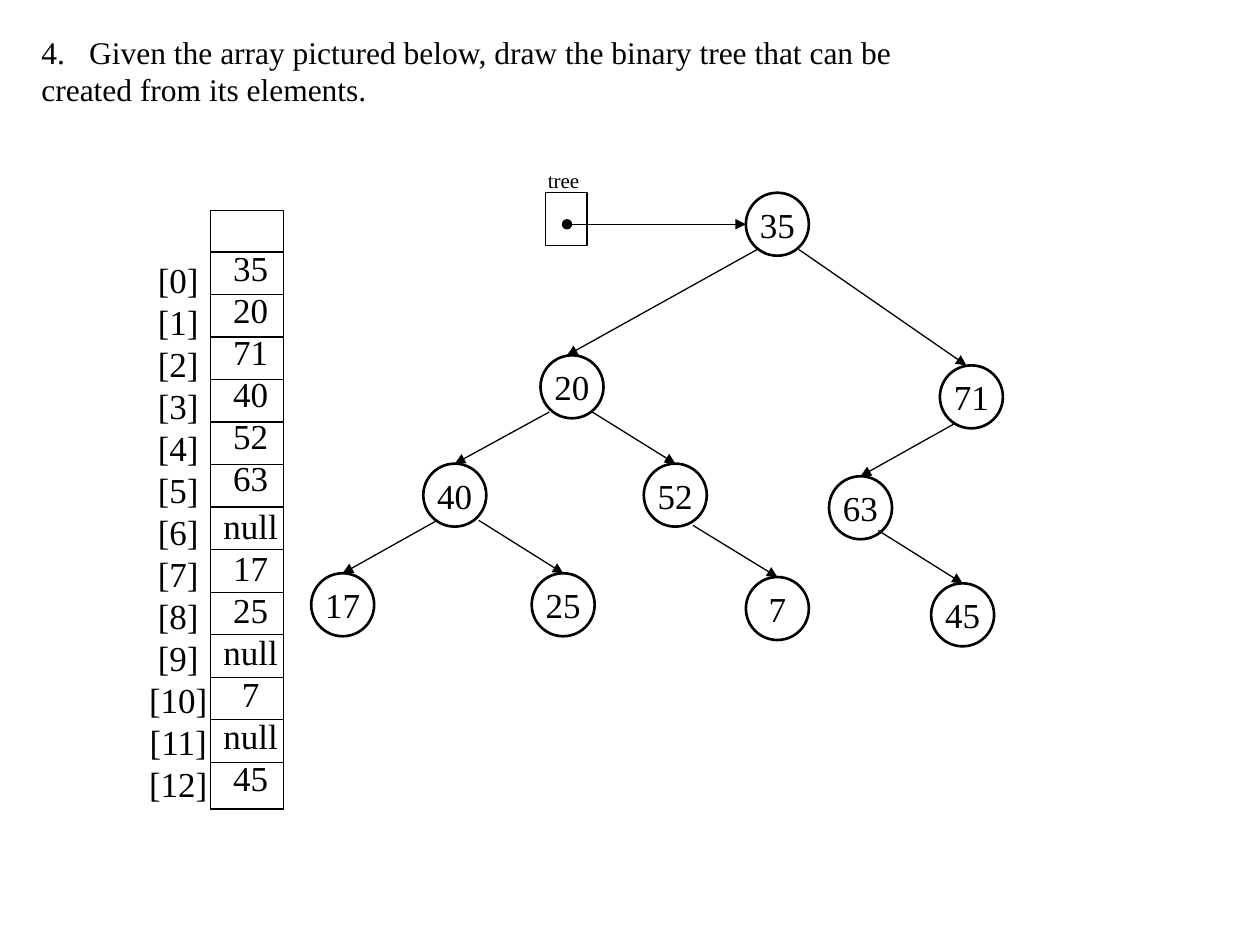
from dataclasses import dataclass

from lxml import etree
from pptx import Presentation
from pptx.dml.color import RGBColor
from pptx.enum.shapes import MSO_CONNECTOR, MSO_SHAPE
from pptx.enum.text import MSO_ANCHOR, PP_ALIGN
from pptx.oxml.ns import qn
from pptx.util import Inches, Pt

STRAIGHT = MSO_CONNECTOR.STRAIGHT
OVAL = MSO_SHAPE.OVAL
RECTANGLE = MSO_SHAPE.RECTANGLE
MIDDLE = MSO_ANCHOR.MIDDLE
CENTER = PP_ALIGN.CENTER
LEFT = PP_ALIGN.LEFT


@dataclass(frozen=True)
class Theme:
    ink: RGBColor = RGBColor(0, 0, 0)
    font: str = "Times New Roman"
    question_size: int = 18
    value_size: int = 20
    label_size: int = 12
    thin: float = 0.75
    thick: float = 1.5


THEME = Theme()

QUESTION = [
    "Given the array pictured below, draw the binary tree that can be",
    "created from its elements.",
]
VALUES = ["35", "20", "71", "40", "52", "63", "null", "17", "25", "null", "7", "null", "45"]

ARRAY_LEFT, ARRAY_TOP, ARRAY_WIDTH, ARRAY_HEIGHT = 1.67, 1.67, 0.58, 4.75
FIRST_RULE, ROW_HEIGHT = 2.0, 0.3375

NODE_SIZE = 0.5
NODES = {
    "35": (5.92, 1.53),
    "20": (4.29, 2.82),
    "71": (7.46, 2.9),
    "40": (3.36, 3.68),
    "52": (5.11, 3.68),
    "63": (6.58, 3.78),
    "17": (2.47, 4.55),
    "25": (4.22, 4.55),
    "7": (5.92, 4.58),
    "45": (7.39, 4.63),
}
EDGES = [
    ((6.01, 1.98), (4.5, 2.82)),
    ((6.34, 1.98), (7.67, 2.9)),
    ((4.36, 3.27), (3.61, 3.68)),
    ((4.7, 3.27), (5.36, 3.68)),
    ((7.58, 3.36), (6.83, 3.78)),
    ((3.47, 4.13), (2.72, 4.55)),
    ((3.8, 4.13), (4.47, 4.55)),
    ((5.5, 4.17), (6.17, 4.58)),
    ((6.97, 4.21), (7.64, 4.63)),
]


def write_lines(frame, lines, size, alignment):
    frame.word_wrap = False
    frame.text = "\n".join(lines)
    for para in frame.paragraphs:
        para.alignment = alignment
        for span in para.runs:
            span.font.name = THEME.font
            span.font.size = Pt(size)
            span.font.color.rgb = THEME.ink


def add_text(page, place, lines, size, alignment=LEFT):
    box = page.shapes.add_textbox(*map(Inches, place))
    write_lines(box.text_frame, lines, size, alignment)
    return box.text_frame.paragraphs


def add_outline(page, kind, place, width):
    shape = page.shapes.add_shape(kind, *map(Inches, place))
    shape.shadow.inherit = False
    shape.fill.background()
    shape.line.color.rgb = THEME.ink
    shape.line.width = Pt(width)
    return shape


def add_line(page, start, end, head=None, tail=None):
    line = page.shapes.add_connector(STRAIGHT, *map(Inches, (*start, *end)))
    line.line.color.rgb = THEME.ink
    line.line.width = Pt(THEME.thin)
    outline = line.line._get_or_add_ln()
    for tag, style in (("a:headEnd", head), ("a:tailEnd", tail)):
        if style:
            etree.SubElement(outline, qn(tag), type=style)
    etree.SubElement(line._element.spPr, qn("a:effectLst"))


def add_node(page, value, left, top):
    node = add_outline(page, OVAL, (left, top, NODE_SIZE, NODE_SIZE), THEME.thick)
    write_lines(node.text_frame, [value], THEME.value_size, CENTER)
    node.text_frame.vertical_anchor = MIDDLE


def number_paragraph(para, start):
    properties = para._p.get_or_add_pPr()
    properties.set("marL", str(Inches(0.38)))
    properties.set("indent", str(-Inches(0.38)))
    etree.SubElement(properties, qn("a:buFont"), typeface=THEME.font)
    etree.SubElement(properties, qn("a:buAutoNum"), type="arabicPeriod", startAt=str(start))


def draw_question(page):
    paragraphs = add_text(page, (0.23, 0.21, 7.02, 0.71), QUESTION, THEME.question_size)
    number_paragraph(paragraphs[0], 4)


def draw_array(page):
    add_outline(page, RECTANGLE, (ARRAY_LEFT, ARRAY_TOP, ARRAY_WIDTH, ARRAY_HEIGHT), THEME.thin)
    for row in range(len(VALUES)):
        y = FIRST_RULE + row * ROW_HEIGHT
        add_line(page, (ARRAY_LEFT, y), (ARRAY_LEFT + ARRAY_WIDTH, y))
    indexes = [f"[{index}]" for index in range(len(VALUES))]
    add_text(page, (1.08, 2, 0.67, 4.48), indexes, THEME.value_size, CENTER)
    cells = add_text(page, (1.67, 1.91, 0.64, 4.48), VALUES, THEME.value_size, CENTER)
    cells[VALUES.index("null")].space_before = Pt(3)


def draw_tree(page):
    add_text(page, (4.25, 1.28, 0.45, 0.3), ["tree"], THEME.label_size)
    add_outline(page, RECTANGLE, (4.33, 1.53, 0.33, 0.42), THEME.thin)
    add_line(page, (4.5, 1.78), (5.92, 1.78), head="oval", tail="triangle")
    for value, (left, top) in NODES.items():
        add_node(page, value, left, top)
    for start, end in EDGES:
        add_line(page, start, end, tail="triangle")


def main():
    deck = Presentation()
    deck.slide_width = Inches(10)
    deck.slide_height = Inches(7.5)
    page = deck.slides.add_slide(deck.slide_layouts[6])
    draw_question(page)
    draw_array(page)
    draw_tree(page)
    deck.save("out.pptx")


main()
